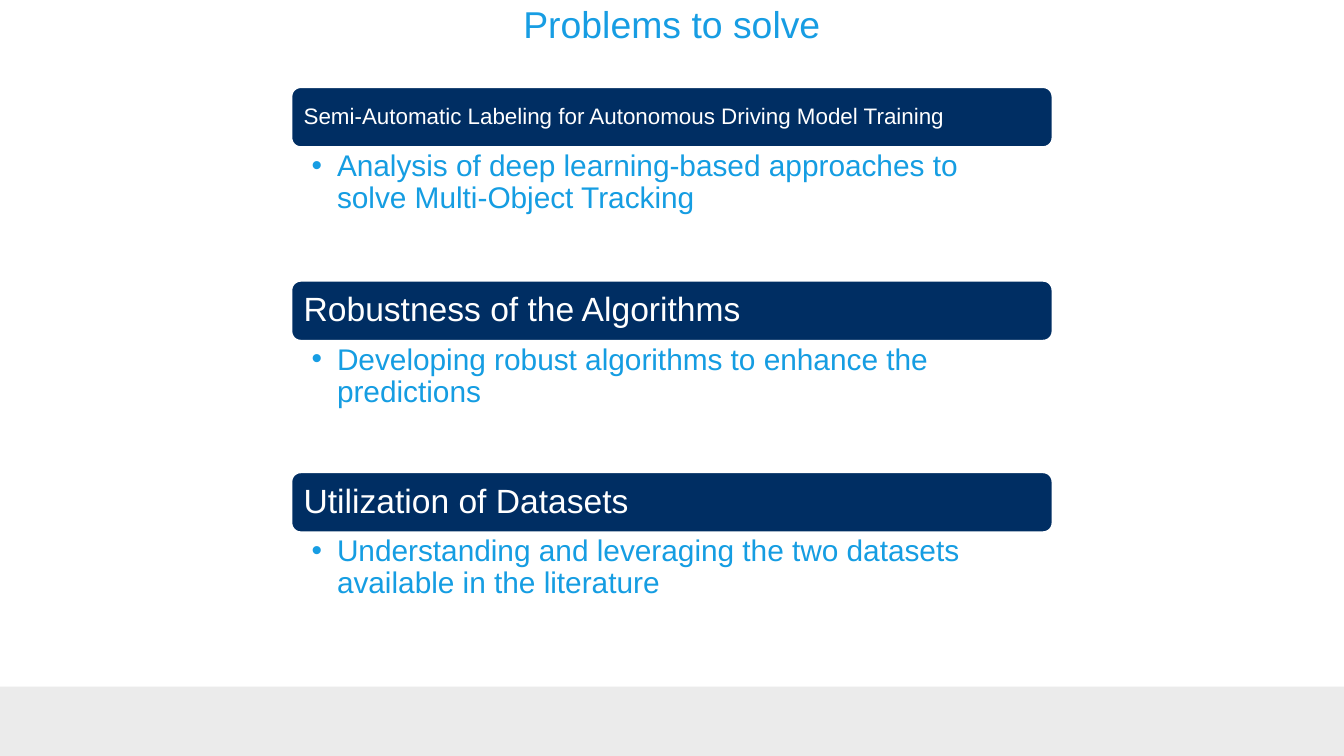
from dataclasses import dataclass

from lxml.etree import SubElement
from pptx import Presentation
from pptx.dml.color import RGBColor
from pptx.enum.shapes import MSO_SHAPE
from pptx.enum.text import MSO_ANCHOR, PP_ALIGN
from pptx.oxml.ns import qn
from pptx.slide import Slide
from pptx.text.text import _Paragraph
from pptx.util import Cm, Length, Pt

WHITE = RGBColor(0xFF, 0xFF, 0xFF)
NAVY = RGBColor(0x00, 0x2E, 0x63)
TITLE_BLUE = RGBColor(0x17, 0x9D, 0xE3)
BODY_BLUE = RGBColor(0x15, 0x9D, 0xE2)
FOOTER_GRAY = RGBColor(0xEB, 0xEB, 0xEB)

SLIDE_WIDTH, SLIDE_HEIGHT = Cm(25.4), Cm(14.29)
FOOTER_TOP = Cm(12.98)
COLUMN_LEFT, COLUMN_WIDTH = Cm(5.49), Cm(14.42)
BAR_HEIGHT = Cm(1.17)
HEADING_INSET = Cm(0.07)


@dataclass(frozen=True)
class Problem:
    heading: str
    detail: str
    top: Length
    heading_size: Length = Pt(18)
    detail_height: Length = Cm(2.16)


@dataclass(frozen=True)
class Area:
    left: Length
    top: Length
    width: Length
    height: Length


PROBLEMS = [
    Problem(
        "Semi-Automatic Labeling for Autonomous Driving Model Training",
        "Analysis of deep learning-based approaches to solve Multi-Object Tracking",
        Cm(1.63),
        heading_size=Pt(12),
        detail_height=Cm(2.44),
    ),
    Problem(
        "Robustness of the Algorithms",
        "Developing robust algorithms to enhance the predictions",
        Cm(5.29),
    ),
    Problem(
        "Utilization of Datasets",
        "Understanding and leveraging the two datasets available in the literature",
        Cm(8.91),
    ),
]


def apply_format(target: object, values: dict) -> None:
    for attribute, value in values.items():
        setattr(target, attribute, value)


def add_filled(slide: Slide, preset: MSO_SHAPE, area: Area, color: RGBColor):
    filled = slide.shapes.add_shape(
        preset, area.left, area.top, area.width, area.height
    )
    filled.shadow.inherit = False
    filled.fill.solid()
    filled.fill.fore_color.rgb = color
    return filled


def add_text(
    slide: Slide,
    area: Area,
    wording: str,
    size: Length,
    color: RGBColor,
    insets: tuple[Length, Length],
    paragraph_format: dict,
    anchor: MSO_ANCHOR = MSO_ANCHOR.MIDDLE,
) -> _Paragraph:
    frame = slide.shapes.add_textbox(
        area.left, area.top, area.width, area.height
    ).text_frame
    side, edge = insets
    apply_format(frame, {
        "word_wrap": True,
        "vertical_anchor": anchor,
        "margin_left": side,
        "margin_right": side,
        "margin_top": edge,
        "margin_bottom": edge,
    })
    paragraph = frame.paragraphs[0]
    apply_format(paragraph, paragraph_format)
    run = paragraph.add_run()
    run.text = wording
    apply_format(run.font, {"name": "Arial", "size": size})
    run.font.color.rgb = color
    return paragraph


def add_bullet(paragraph: _Paragraph, color: RGBColor, indent: Length) -> None:
    properties = paragraph._p.get_or_add_pPr()
    properties.set("marL", str(indent))
    properties.set("indent", str(-indent))
    bullet_color = SubElement(properties, qn("a:buClr"))
    SubElement(bullet_color, qn("a:srgbClr"), val=str(color))
    SubElement(properties, qn("a:buFont"), typeface="Arial")
    SubElement(properties, qn("a:buChar"), char="•")


def add_problem(slide: Slide, problem: Problem) -> None:
    bar_area = Area(COLUMN_LEFT, problem.top, COLUMN_WIDTH, BAR_HEIGHT)
    bar = add_filled(slide, MSO_SHAPE.ROUNDED_RECTANGLE, bar_area, NAVY)
    bar.adjustments[0] = 0.167
    bar.line.color.rgb = WHITE
    bar.line.width = Pt(2)

    heading_area = Area(
        COLUMN_LEFT + HEADING_INSET,
        problem.top + HEADING_INSET,
        COLUMN_WIDTH - 2 * HEADING_INSET,
        BAR_HEIGHT - 2 * HEADING_INSET,
    )
    add_text(
        slide, heading_area, problem.heading, problem.heading_size, WHITE,
        (Cm(0.18), Cm(0.18)), {"line_spacing": 0.9},
    )

    detail_area = Area(
        COLUMN_LEFT, problem.top + BAR_HEIGHT, COLUMN_WIDTH, problem.detail_height
    )
    detail = add_text(
        slide, detail_area, problem.detail, Pt(16), BODY_BLUE,
        (Cm(0.4), Cm(0.05)),
        {"level": 1, "line_spacing": 0.9, "space_after": Pt(3.2)},
        MSO_ANCHOR.TOP,
    )
    add_bullet(detail, TITLE_BLUE, Cm(0.48))


def main() -> None:
    presentation = Presentation()
    apply_format(
        presentation, {"slide_width": SLIDE_WIDTH, "slide_height": SLIDE_HEIGHT}
    )
    slide = presentation.slides.add_slide(presentation.slide_layouts[6])
    slide.background.fill.solid()
    slide.background.fill.fore_color.rgb = WHITE

    footer_area = Area(Cm(0), FOOTER_TOP, SLIDE_WIDTH, SLIDE_HEIGHT - FOOTER_TOP)
    footer = add_filled(slide, MSO_SHAPE.RECTANGLE, footer_area, FOOTER_GRAY)
    footer.line.fill.background()

    add_text(
        slide, Area(Cm(1.45), Cm(0), Cm(22.5), Cm(0.89)), "Problems to solve",
        Pt(20), TITLE_BLUE, (Cm(0.25), Cm(0.25)), {"alignment": PP_ALIGN.CENTER},
    )
    for problem in PROBLEMS:
        add_problem(slide, problem)
    presentation.save("out.pptx")


if __name__ == "__main__":
    main()
